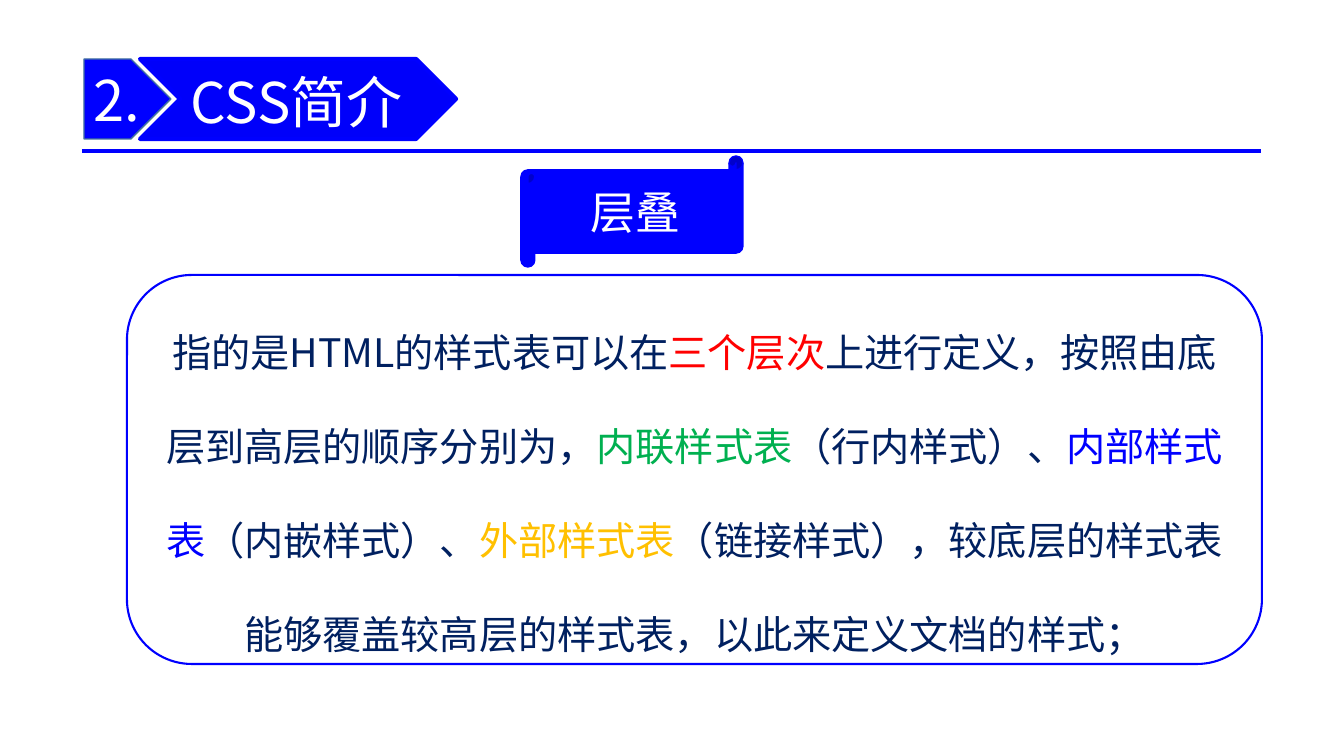
from lxml import etree
from pptx import Presentation
from pptx.dml.color import RGBColor
from pptx.enum.shapes import MSO_CONNECTOR, MSO_SHAPE
from pptx.enum.text import MSO_ANCHOR, MSO_AUTO_SIZE, PP_ALIGN
from pptx.oxml.ns import qn
from pptx.util import Pt

PENTAGON, CHEVRON = MSO_SHAPE.PENTAGON, MSO_SHAPE.CHEVRON
SCROLL, ROUNDED = MSO_SHAPE.HORIZONTAL_SCROLL, MSO_SHAPE.ROUNDED_RECTANGLE
STRAIGHT = MSO_CONNECTOR.STRAIGHT
LEFT, CENTER = PP_ALIGN.LEFT, PP_ALIGN.CENTER
MIDDLE = MSO_ANCHOR.MIDDLE
NO_FIT = MSO_AUTO_SIZE.NONE

FONT = "Noto Sans CJK SC"
BLUE, NAVY, WHITE = "0000FF", "002060", "FFFFFF"
TITLE_ONLY = 5


def px(n):
    return round(n * 914400 / 100.8)


def color(hex_value):
    return RGBColor.from_string(hex_value)


def add_shape(slide, kind, box, fill, line, width):
    sp = slide.shapes.add_shape(kind, *map(px, box))
    sp.shadow.inherit = False
    sp.fill.solid()
    sp.fill.fore_color.rgb = color(fill)
    sp.line.color.rgb = color(line)
    sp.line.width = Pt(width)
    return sp


def write(sp, runs, size, align=CENTER, spacing=None):
    """Fill a shape with one paragraph of (text, colour) runs."""
    tf = sp.text_frame
    tf.word_wrap = True
    tf.vertical_anchor = MIDDLE
    p = tf.paragraphs[0]
    p.alignment = align
    p.line_spacing = spacing
    p.font.size = Pt(size)
    p.font.name = FONT
    etree.SubElement(p.font._element, qn("a:ea"), typeface=FONT)
    for text, hex_value in runs:
        r = p.add_run()
        r.text = text
        r.font.color.rgb = color(hex_value)


def add_header(slide, x, y, w, h, number, title):
    # Rule under the header
    rule_y = y + h + 12
    rule = slide.shapes.add_connector(
        STRAIGHT, px(x), px(rule_y), px(x + w), px(rule_y))
    rule.line.color.rgb = color(BLUE)
    rule.line.width = Pt(3)
    etree.SubElement(rule._element.spPr, qn("a:effectLst"))

    # Number plate and title arrow
    plate = add_shape(slide, PENTAGON, (x + 2, y, 87, h), BLUE, "43739E", 1)
    write(plate, [(number, WHITE)], 40, LEFT)
    add_shape(slide, CHEVRON, (x + 58, y, 316, h), "0000FA", BLUE, 3)

    # Title, brought in front of the arrow
    sp = slide.shapes.title
    sp.left, sp.top, sp.width, sp.height = map(px, (x - 28, y - 12, 481, 109))
    tf = sp.text_frame
    tf.auto_size = NO_FIT
    tf.margin_left, tf.margin_right = px(4), 0
    tf.margin_top = tf.margin_bottom = px(2)
    write(sp, [(title, WHITE)], 40)
    slide.shapes._spTree.append(sp._element)


def add_definition(slide, x, y, w, h, term, runs):
    # Explanation panel
    panel = add_shape(slide, ROUNDED, (x, y, w, h), WHITE, BLUE, 1.5)
    write(panel, runs, 28, spacing=2.0)

    # Scroll with the term above the panel
    scroll = add_shape(slide, SCROLL, (x + 394, y - 119, 222, 111), BLUE, BLUE, 1)
    write(scroll, [(term, WHITE)], 32)


def main():
    prs = Presentation()
    prs.slide_width, prs.slide_height = px(1344), px(756)
    slide = prs.slides.add_slide(prs.slide_layouts[TITLE_ONLY])
    add_header(slide, 82, 59, 1179, 80, "2.", "CSS简介")
    add_definition(slide, 127, 275, 1135, 389, "层叠", [
        ("指的是HTML的样式表可以在", NAVY),
        ("三个层次", "FF0000"),
        ("上进行定义，按照由底层到高层的顺序分别为，", NAVY),
        ("内联样式表", "00B050"),
        ("（行内样式）、", NAVY),
        ("内部样式表", BLUE),
        ("（内嵌样式）、", NAVY),
        ("外部样式表", "FFC000"),
        ("（链接样式），较底层的样式表能够覆盖较高层的样式表，以此来定义文档的样式；", NAVY),
    ])
    prs.save("out.pptx")


if __name__ == "__main__":
    main()
